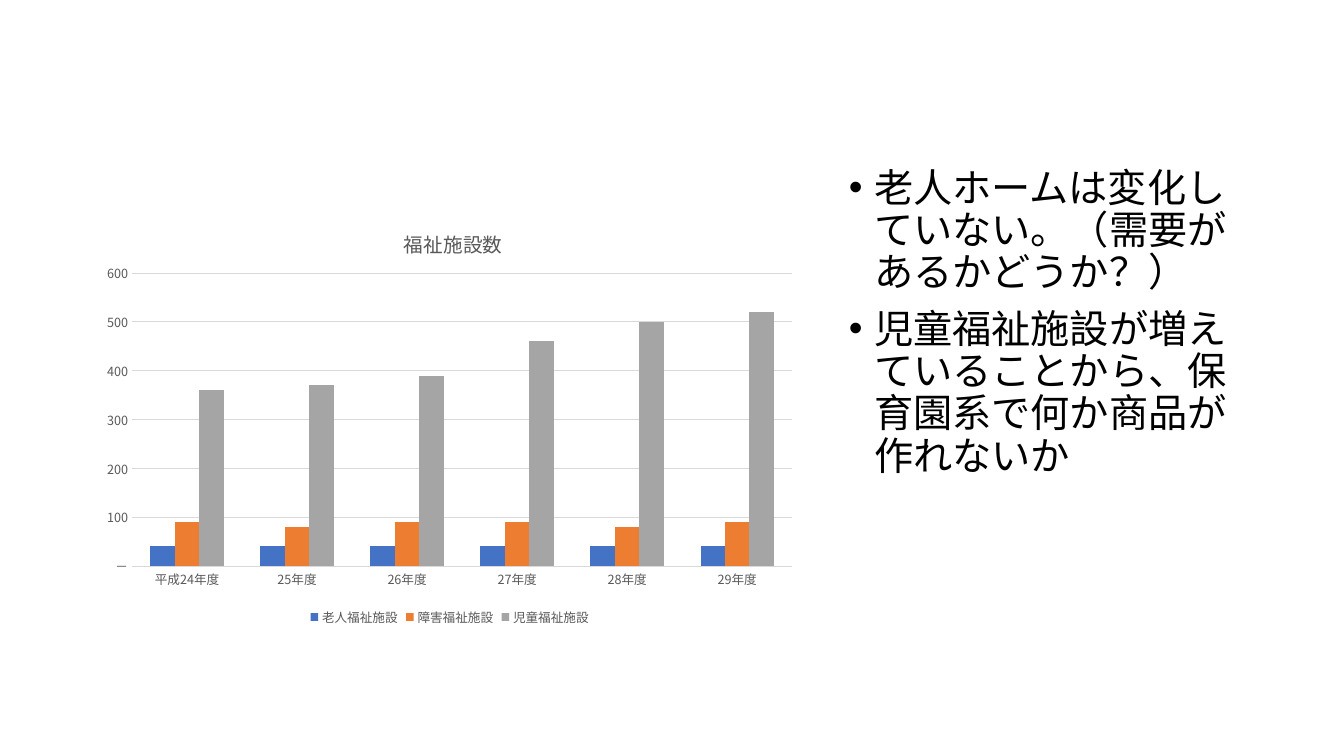
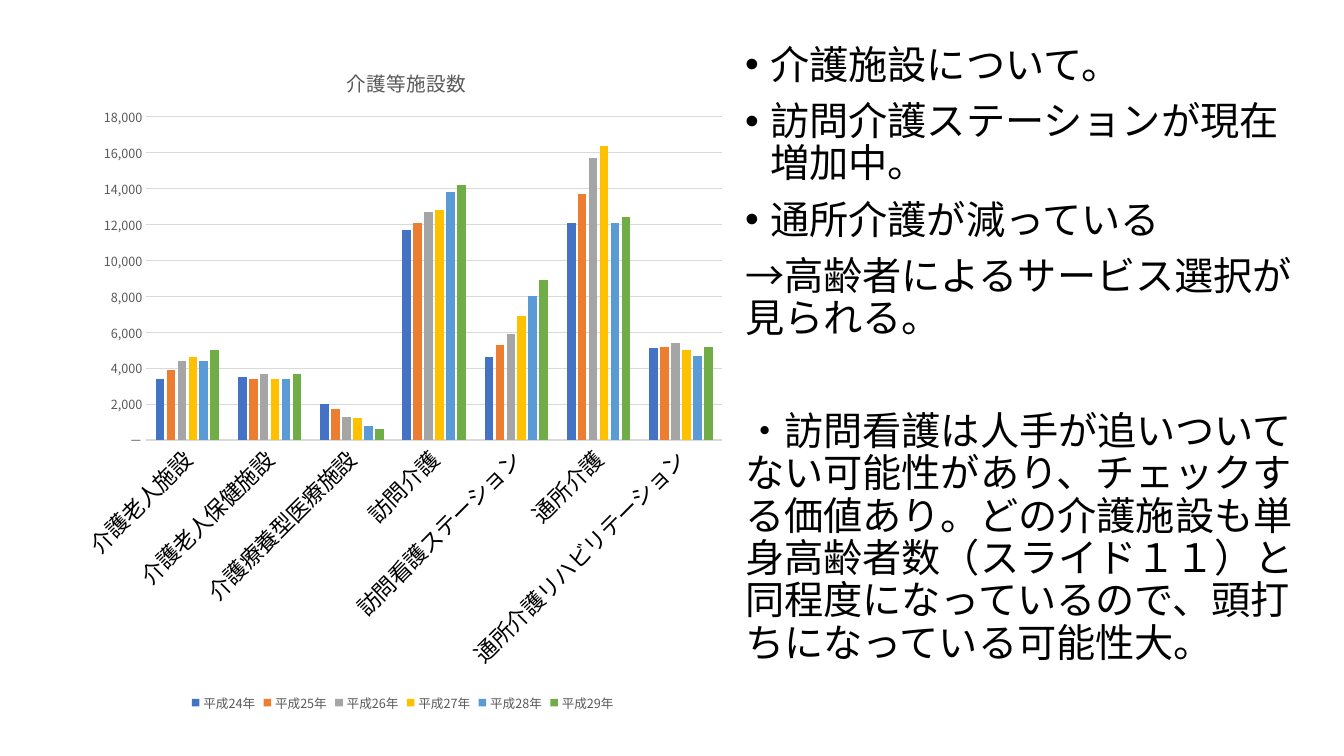
from dataclasses import dataclass

from lxml import etree
from pptx import Presentation
from pptx.chart.data import CategoryChartData
from pptx.dml.color import RGBColor
from pptx.enum.chart import XL_CHART_TYPE, XL_LEGEND_POSITION, XL_TICK_MARK
from pptx.enum.text import MSO_ANCHOR, MSO_AUTO_SIZE, PP_ALIGN
from pptx.oxml.ns import qn
from pptx.util import Inches, Pt

COLUMN = XL_CHART_TYPE.COLUMN_CLUSTERED
BOTTOM = XL_LEGEND_POSITION.BOTTOM
NO_TICK = XL_TICK_MARK.NONE
NO_FIT = MSO_AUTO_SIZE.NONE
TOP = MSO_ANCHOR.TOP
LEFT = PP_ALIGN.LEFT


@dataclass(frozen=True)
class Theme:
    font: str = "Noto Sans CJK JP"
    ink: str = "000000"
    gray: str = "595959"
    rule: str = "D9D9D9"
    fills: tuple = ("4472C4", "ED7D31", "A5A5A5",
                    "FFC000", "5B9BD5", "70AD47")
    body: int = 28
    title: int = 14
    label: int = 9
    large: int = 16
    number: str = '#,##0;"△"#,##0;"－"'


THEME = Theme()


def rgb(code):
    return RGBColor.from_string(code)


def style(font, size, color):
    font.name = THEME.font
    font.size = Pt(size)
    font.bold = False
    font.color.rgb = rgb(color)


def add_asian(root):
    """Use the same face for East Asian text as for Latin text."""
    for latin in list(root.iter(qn("a:latin"))):
        face = etree.Element(qn("a:ea"), typeface=THEME.font)
        latin.addnext(face)


def set_layout(part, index, inner=False, **place):
    """Place a chart part by fractions of the chart box."""
    for old in part.findall(qn("c:layout")):
        part.remove(old)
    layout = etree.Element(qn("c:layout"))
    manual = etree.SubElement(layout, qn("c:manualLayout"))
    items = [("layoutTarget", "inner")] if inner else []
    items += [("xMode", "edge"), ("yMode", "edge"), *place.items()]
    for tag, value in items:
        etree.SubElement(manual, qn("c:" + tag), val=str(value))
    part.insert(index, layout)


def add_notes(slide, box, lines):
    """Fill the body placeholder; each line is text, bullet flag, space."""
    body = slide.placeholders[1]
    body.left, body.top, body.width, body.height = map(Inches, box)
    frame = body.text_frame
    frame.word_wrap = True
    frame.auto_size = NO_FIT
    frame.vertical_anchor = TOP
    frame.text = "\n".join(line[0] for line in lines)
    for para, (_, bullet, space) in zip(frame.paragraphs, lines):
        para.alignment = LEFT
        para.line_spacing = 0.9
        para.space_before = Pt(space)
        props = para._p.get_or_add_pPr()
        indent = Inches(0.25) if bullet else 0
        props.set("marL", str(indent))
        props.set("indent", str(-indent))
        if bullet:
            etree.SubElement(props, qn("a:buFont"), typeface="Arial")
            etree.SubElement(props, qn("a:buChar"), char="•")
        else:
            etree.SubElement(props, qn("a:buNone"))
        for run in para.runs:
            style(run.font, THEME.body, THEME.ink)
    add_asian(body._element)


def style_axes(chart, top, step, size, color, turn):
    cat, val = chart.category_axis, chart.value_axis
    for axis in (cat, val):
        axis.major_tick_mark = axis.minor_tick_mark = NO_TICK
    style(cat.tick_labels.font, size, color)
    style(val.tick_labels.font, THEME.label, THEME.gray)
    val.minimum_scale, val.maximum_scale, val.major_unit = 0, top, step
    val.tick_labels.number_format = THEME.number
    val.tick_labels.number_format_is_linked = False
    val.format.line.fill.background()
    for line in (cat.format.line, val.major_gridlines.format.line):
        line.color.rgb = rgb(THEME.rule)
        line.width = Pt(0.75)
    if turn:
        frame = cat._element.find(qn("c:txPr")).find(qn("a:bodyPr"))
        frame.set("rot", str(turn * 60000))


def add_graph(slide, box, title, cats, series, top, step, spot, plot,
              gap=150, overlap=0, size=THEME.label, color=THEME.gray, turn=0):
    data = CategoryChartData(number_format=THEME.number)
    data.categories = cats
    for name, values in series.items():
        data.add_series(name, values)
    chart = slide.shapes.add_chart(COLUMN, *map(Inches, box), data).chart
    style(chart.font, 10, THEME.ink)

    # Title
    chart.has_title = True
    frame = chart.chart_title.text_frame
    frame.text = title
    style(frame.paragraphs[0].runs[0].font, THEME.title, THEME.gray)
    set_layout(chart.chart_title._element, 1, x=spot[0], y=spot[1])

    # Columns
    bars = chart.plots[0]
    bars.gap_width, bars.overlap = gap, overlap
    bars.vary_by_categories = False
    for item, fill in zip(bars.series, THEME.fills):
        item.format.fill.solid()
        item.format.fill.fore_color.rgb = rgb(fill)
    area = chart._chartSpace.find(".//" + qn("c:plotArea"))
    set_layout(area, 0, True, **dict(zip("xywh", plot)))

    # Axes and legend
    style_axes(chart, top, step, size, color, turn)
    chart.has_legend = True
    chart.legend.position = BOTTOM
    chart.legend.include_in_layout = False
    style(chart.legend.font, THEME.label, THEME.gray)
    add_asian(chart._chartSpace)


def new_slide(deck):
    slide = deck.slides.add_slide(deck.slide_layouts[1])
    title = slide.shapes.title._element
    title.getparent().remove(title)
    return slide


def welfare(deck):
    slide = new_slide(deck)
    add_notes(slide, (8.32, 1.62, 4.1, 5.13), [
        ("老人ホームは変化していない。（需要があるかどうか？）", True, 10),
        ("児童福祉施設が増えていることから、保育園系で何か商品が作れないか",
         True, 10),
    ])
    add_graph(
        slide, (0.92, 2, 7.08, 4.25), "福祉施設数",
        ["平成24年度"] + [f"{year}年度" for year in range(25, 30)],
        {"老人福祉施設": [40] * 6,
         "障害福祉施設": [90, 80, 90, 90, 80, 90],
         "児童福祉施設": [360, 370, 390, 460, 500, 520]},
        top=600, step=100, spot=(0.43, 0.05),
        plot=(0.055, 0.167, 0.925, 0.684))


def care(deck):
    slide = new_slide(deck)
    add_notes(slide, (7.29, 0.4, 5.73, 6.75), [
        ("介護施設について。", True, 10),
        ("訪問介護ステーションが現在増加中。", True, 10),
        ("通所介護が減っている", True, 10),
        ("→高齢者によるサービス選択が見られる。", False, 10),
        ("・訪問看護は人手が追いついてない可能性があり、チェックする価値あり。"
         "どの介護施設も単身高齢者数（スライド１１）と同程度になっているので、"
         "頭打ちになっている可能性大。", False, 50),
    ])
    counts = [
        [3400, 3500, 2000, 11700, 4600, 12100, 5100],
        [3900, 3400, 1700, 12100, 5300, 13700, 5200],
        [4400, 3700, 1300, 12700, 5900, 15700, 5400],
        [4600, 3400, 1200, 12800, 6900, 16400, 5000],
        [4400, 3400, 800, 13800, 8000, 12100, 4700],
        [5000, 3700, 600, 14200, 8900, 12400, 5200],
    ]
    add_graph(
        slide, (0.69, 0.35, 6.61, 6.75), "介護等施設数",
        ["介護老人施設", "介護老人保健施設", "介護療養型医療施設", "訪問介護",
         "訪問看護ステーション", "通所介護", "通所介護リハビリテーション"],
        {f"平成{year}年": row for year, row in enumerate(counts, 24)},
        top=18000, step=2000, spot=(0.41, 0.04),
        plot=(0.115, 0.12, 0.864, 0.475), gap=219, overlap=-27,
        size=THEME.large, color=THEME.ink, turn=-45)


def main():
    deck = Presentation()
    deck.slide_width, deck.slide_height = Inches(13.33), Inches(7.5)
    welfare(deck)
    care(deck)
    deck.save("out.pptx")


if __name__ == "__main__":
    main()
